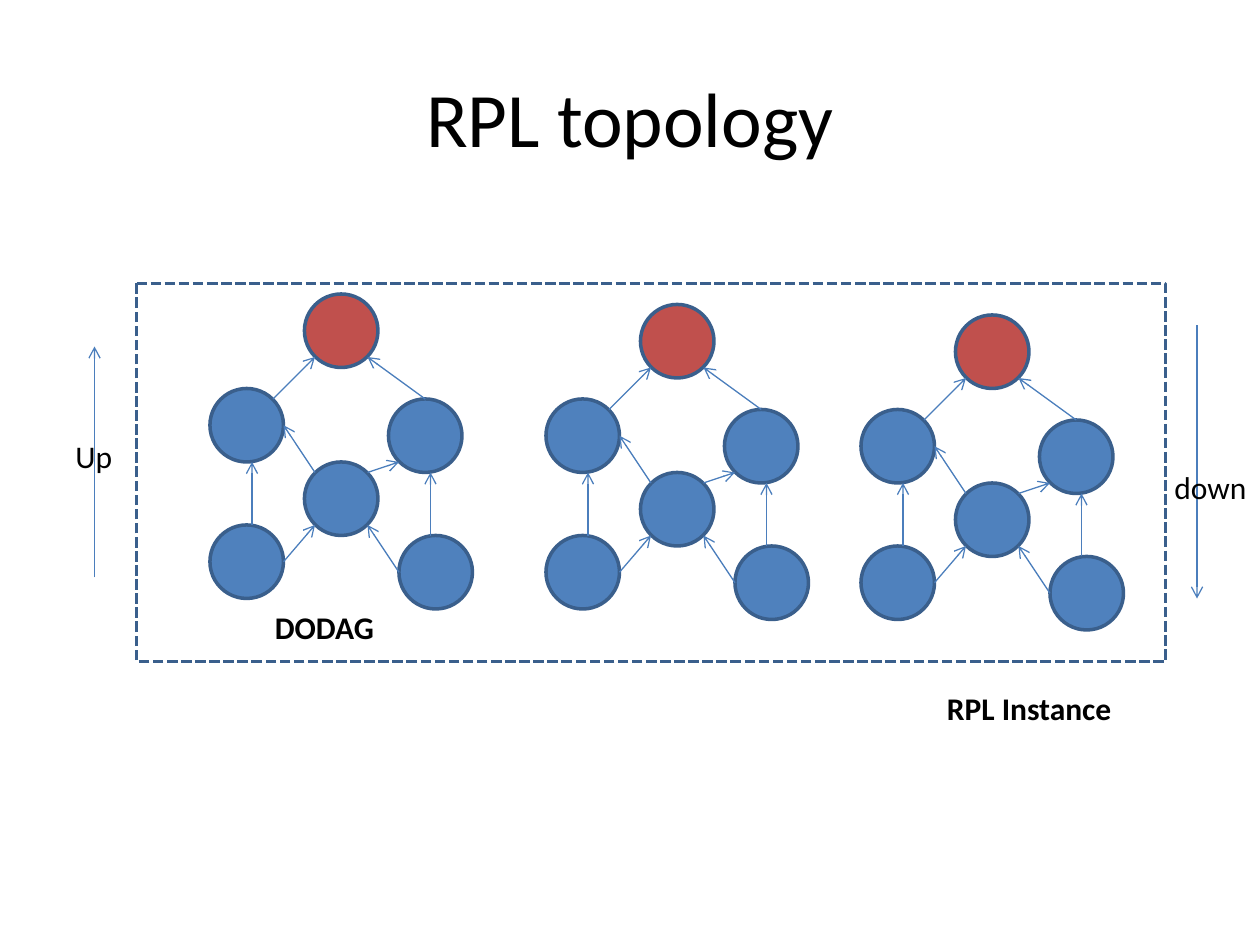
from dataclasses import dataclass

import pptx
import pptx.dml.color
import pptx.enum.dml
import pptx.enum.shapes
import pptx.enum.text
import pptx.oxml
import pptx.oxml.ns
import pptx.util

Pt = pptx.util.Pt
RGB = pptx.dml.color.RGBColor.from_string
SHAPE = pptx.enum.shapes.MSO_SHAPE
ANCHOR = pptx.enum.text.MSO_ANCHOR
ALIGN = pptx.enum.text.PP_ALIGN
NS = pptx.oxml.ns.nsdecls("a")


@dataclass(frozen=True)
class Theme:
    font: str = "Calibri"
    title_size: int = 44
    label_size: int = 18
    text: str = "000000"
    paper: str = "FFFFFF"
    root: str = "C0504D"
    node: str = "4F81BD"
    outline: str = "3A5F8C"
    arrow: str = "4B7EBC"
    outline_width: float = 2
    arrow_width: float = 0.75


# Offsets within one DODAG; the first node is the root.
NODE_SIZE = 42
NODES = [(54, 0), (102, 60), (0, 54), (108, 138), (0, 132), (54, 96)]
LINKS = [
    (36, 60, 60, 36), (123, 60, 90, 36),
    (24, 132, 24, 96), (126, 138, 126, 102),
    (42, 153, 60, 132), (108, 159, 90, 132),
    (60, 102, 42, 75), (90, 102, 108, 96),
]
DODAG_ORIGINS = [(120, 168), (312, 174), (492, 180)]


class Builder:
    def __init__(self, slide, theme):
        self.slide = slide
        self.theme = theme

    def set_text(self, sp, text, size, bold=False, align=ALIGN.LEFT):
        tf = sp.text_frame
        tf.text = text
        p = tf.paragraphs[0]
        p.alignment = align
        font = p.runs[0].font
        font.name, font.size, font.bold = self.theme.font, Pt(size), bold
        font.color.rgb = RGB(self.theme.text)
        return tf

    def title(self, text, x, y, w, h):
        sp = self.slide.shapes.title
        sp.left, sp.top, sp.width, sp.height = Pt(x), Pt(y), Pt(w), Pt(h)
        tf = self.set_text(sp, text, self.theme.title_size, align=ALIGN.CENTER)
        tf.vertical_anchor = ANCHOR.MIDDLE

    def label(self, text, x, y, w, bold=False):
        sp = self.slide.shapes.add_textbox(Pt(x), Pt(y), Pt(w), Pt(29))
        tf = self.set_text(sp, text, self.theme.label_size, bold)
        tf.word_wrap = False
        tf.auto_size = pptx.enum.text.MSO_AUTO_SIZE.SHAPE_TO_FIT_TEXT

    def shape(self, shapes, kind, x, y, w, h, fill):
        sp = shapes.add_shape(kind, Pt(x), Pt(y), Pt(w), Pt(h))
        sp.shadow.inherit = False
        sp.fill.solid()
        sp.fill.fore_color.rgb = RGB(fill)
        sp.line.color.rgb = RGB(self.theme.outline)
        sp.line.width = Pt(self.theme.outline_width)
        return sp

    def instance_frame(self, text, x, y, w, h):
        """Dashed frame with its caption near the lower left corner."""
        sp = self.shape(self.slide.shapes, SHAPE.FLOWCHART_PROCESS,
                        x, y, w, h, self.theme.paper)
        sp.line.dash_style = pptx.enum.dml.MSO_LINE.SQUARE_DOT
        tf = self.set_text(sp, text, self.theme.label_size, bold=True)
        tf.vertical_anchor = ANCHOR.BOTTOM
        tf.margin_left, tf.margin_bottom = Pt(79), Pt(9)

    def arrow(self, shapes, x1, y1, x2, y2):
        line = shapes.add_connector(pptx.enum.shapes.MSO_CONNECTOR.STRAIGHT,
                                    Pt(x1), Pt(y1), Pt(x2), Pt(y2))
        line.line.color.rgb = RGB(self.theme.arrow)
        line.line.width = Pt(self.theme.arrow_width)
        sp_pr = line._element.spPr
        sp_pr.find(pptx.oxml.ns.qn("a:ln")).append(
            pptx.oxml.parse_xml(f'<a:tailEnd {NS} type="arrow"/>'))
        sp_pr.append(pptx.oxml.parse_xml(f"<a:effectLst {NS}/>"))

    def dodag(self, x, y):
        """Group of six nodes whose arrows lead up to the root."""
        shapes = self.slide.shapes.add_group_shape().shapes
        for i, (dx, dy) in enumerate(NODES):
            fill = self.theme.node if i else self.theme.root
            self.shape(shapes, SHAPE.OVAL, x + dx, y + dy,
                       NODE_SIZE, NODE_SIZE, fill)
        for x1, y1, x2, y2 in LINKS:
            self.arrow(shapes, x + x1, y + y1, x + x2, y + y2)


def main():
    prs = pptx.Presentation()
    prs.slide_width, prs.slide_height = Pt(720), Pt(540)
    s = prs.slides.add_slide(prs.slide_layouts[5])
    b = Builder(s, Theme())

    b.title("RPL topology", 36, 21.6, 648, 90)
    b.instance_frame("DODAG", 78, 162, 588, 216)
    for x, y in DODAG_ORIGINS:
        b.dodag(x, y)

    b.arrow(s.shapes, 54, 330, 54, 198)
    b.arrow(s.shapes, 684, 186, 684, 342)
    b.label("Up", 36, 246, 36)
    b.label("down", 664, 264, 56)
    b.label("RPL Instance", 534, 390, 109.5, bold=True)

    prs.save("out.pptx")


if __name__ == "__main__":
    main()
